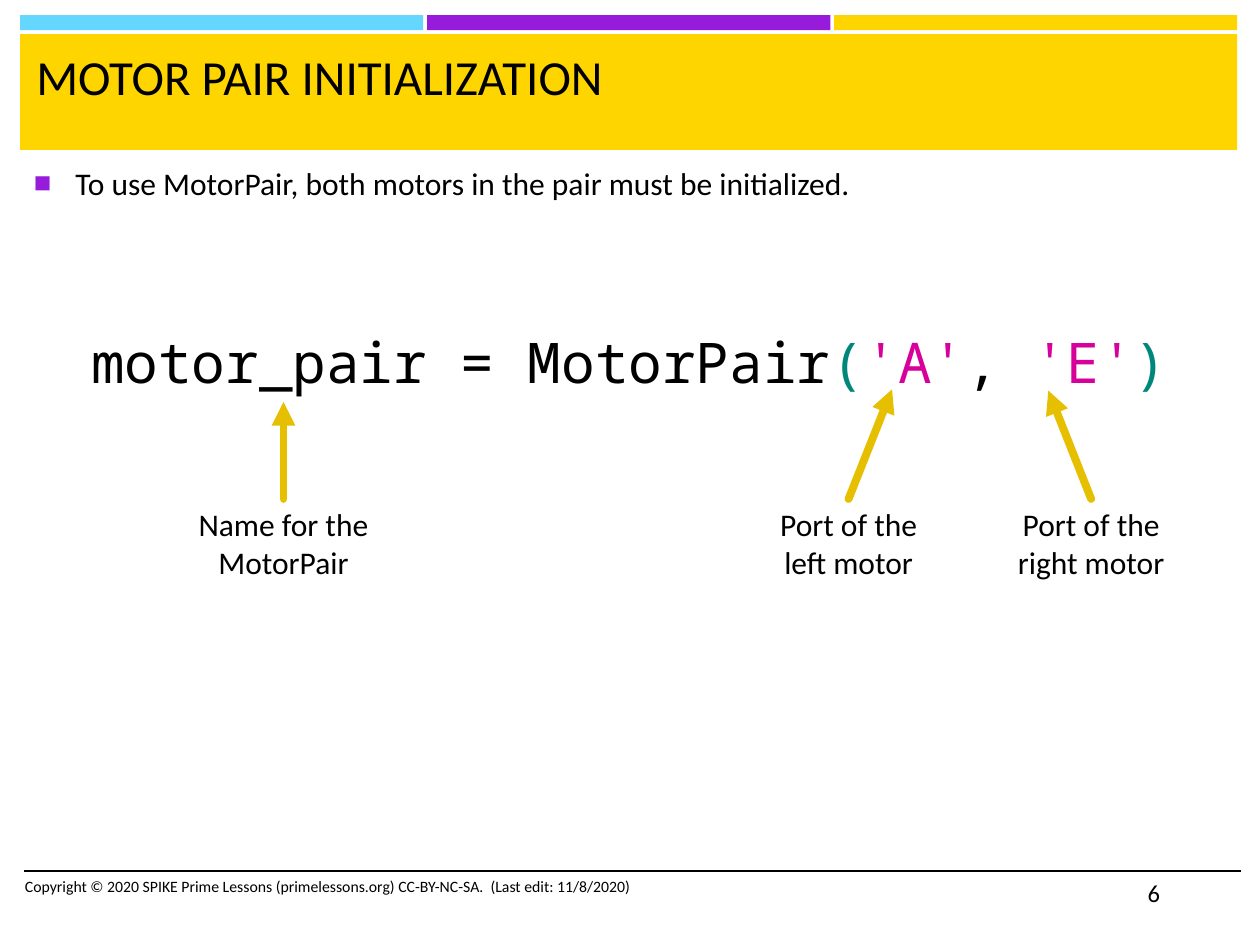
from lxml import etree
from pptx import Presentation
from pptx.dml.color import RGBColor
from pptx.enum.shapes import MSO_CONNECTOR as Connector, MSO_SHAPE as Shape
from pptx.enum.text import MSO_AUTO_SIZE as AutoSize, PP_ALIGN as Align
from pptx.oxml.ns import qn
from pptx.util import Inches, Pt

# The grid has 100 columns and 75 rows, each a tenth of an inch.
COLUMNS, ROWS = 100, 75
CELL = Inches(0.1)

BLACK = RGBColor(0x00, 0x00, 0x00)
BLUE = RGBColor(0x65, 0xD7, 0xFF)
PURPLE = RGBColor(0x96, 0x1B, 0xDB)
YELLOW = RGBColor(0xFF, 0xD5, 0x00)
GOLD = RGBColor(0xE6, 0xC0, 0x00)
TEAL = RGBColor(0x00, 0x87, 0x7B)
PINK = RGBColor(0xD8, 0x00, 0x9B)

STRIPE_LEFT, STRIPE_WIDTH, STRIPE_STEP = 1.6, 32, 32.3
LABEL_TOP, LABEL_HEIGHT = 39.6, 7.1

CODE = [
    ("motor_pair = MotorPair", BLACK),
    ("(", TEAL),
    ("'A'", PINK),
    (", ", BLACK),
    ("'E'", PINK),
    (")", TEAL),
]
# Label text, its left and width, then the column and row its arrow points at.
LABELS = [
    ("Name for the MotorPair", 14.1, 16.8, 22.5, 31.9),
    ("Port of the left motor", 59.9, 14.9, 70.8, 30.9),
    ("Port of the right motor", 78.2, 16.8, 83.2, 31),
]


def cells(*counts):
    return [round(count * CELL) for count in counts]


def set_values(target, values):
    for name, value in values.items():
        setattr(target, name, value)


def add_band(page, area, color):
    band = page.shapes.add_shape(Shape.RECTANGLE, *cells(*area))
    band.shadow.inherit = False
    band.fill.solid()
    band.fill.fore_color.rgb = color
    band.line.fill.background()


def add_text(page, area, spans, size, font="Calibri", frame=None, layout=None):
    """Add a text box of one paragraph made of (text, color) spans."""
    box = page.shapes.add_textbox(*cells(*area))
    set_values(box.text_frame, {"word_wrap": True, **(frame or {})})
    para = box.text_frame.paragraphs[0]
    set_values(para, layout or {})
    for text, color in spans:
        span = para.add_run()
        span.text = text
        set_values(span.font, {"name": font, "size": Pt(size)})
        span.font.color.rgb = color
    return box


def add_bullet(para, color, percent, indent):
    props = para._p.get_or_add_pPr()
    props.set("marL", str(indent))
    props.set("indent", str(-indent))
    bullet_color = etree.SubElement(props, qn("a:buClr"))
    etree.SubElement(bullet_color, qn("a:srgbClr"), val=str(color))
    etree.SubElement(props, qn("a:buSzPct"), val=str(percent * 1000))
    etree.SubElement(props, qn("a:buFont"), typeface="Arial")
    etree.SubElement(props, qn("a:buChar"), char="■")


def add_line(page, start, end, color, width):
    line = page.shapes.add_connector(
        Connector.STRAIGHT, *cells(*start), *cells(*end))
    line.line.color.rgb = color
    line.line.width = Pt(width)
    etree.SubElement(line._element.spPr, qn("a:effectLst"))
    return line


def add_arrow(page, label, start, tip):
    """Draw an arrow from the top of a label to the tip."""
    arrow = add_line(page, start, tip, GOLD, 4.5)
    arrow.begin_connect(label, 0)
    outline = arrow.line._get_or_add_ln()
    outline.set("cap", "rnd")
    etree.SubElement(outline, qn("a:tailEnd"), type="triangle")


def add_frame(page):
    for index, color in enumerate((BLUE, PURPLE, YELLOW)):
        left = STRIPE_LEFT + index * STRIPE_STEP
        add_band(page, (left, 1.2, STRIPE_WIDTH, 1.2), color)
    add_band(page, (STRIPE_LEFT, 2.7, 96.6, 9.2), YELLOW)
    add_line(page, (1.9, 69.1), (98.5, 69.1), BLACK, 1)
    credit = ("Copyright © 2020 SPIKE Prime Lessons (primelessons.org) "
              "CC-BY-NC-SA.  (Last edit: 11/8/2020)")
    add_text(page, (1, 69.1, 53.3, 4), [(credit, BLACK)], 9)
    add_text(page, (90.1, 69.2, 8.4, 4), [("6", BLACK)], 14)


def add_labels(page, centred):
    for text, left, width, tip_column, tip_row in LABELS:
        area = (left, LABEL_TOP, width, LABEL_HEIGHT)
        label = add_text(page, area, [(text, BLACK)], 18, **centred)
        start = (left + width / 2, LABEL_TOP)
        add_arrow(page, label, start, (tip_column, tip_row))


def main():
    deck = Presentation()
    deck.slide_width, deck.slide_height = cells(COLUMNS, ROWS)
    page = deck.slides.add_slide(deck.slide_layouts[6])

    add_frame(page)
    add_text(page, (1.9, 3.2, 95.7, 8.2),
             [("MOTOR PAIR INITIALIZATION", BLACK)], 28)
    sentence = "To use MotorPair, both motors in the pair must be initialized."
    body = add_text(page, (1.7, 12.5, 96.6, 55.6), [(sentence, BLACK)], 18,
                    layout={"space_after": Pt(6)})
    add_bullet(body.text_frame.paragraphs[0], PURPLE, 92, Inches(0.33))

    centred = {"frame": {"auto_size": AutoSize.SHAPE_TO_FIT_TEXT},
               "layout": {"alignment": Align.CENTER}}
    add_text(page, (3.8, 25.5, 92.3, 6.4), CODE, 32, "Noto Sans Mono", **centred)
    add_labels(page, centred)
    deck.save("out.pptx")


if __name__ == "__main__":
    main()
